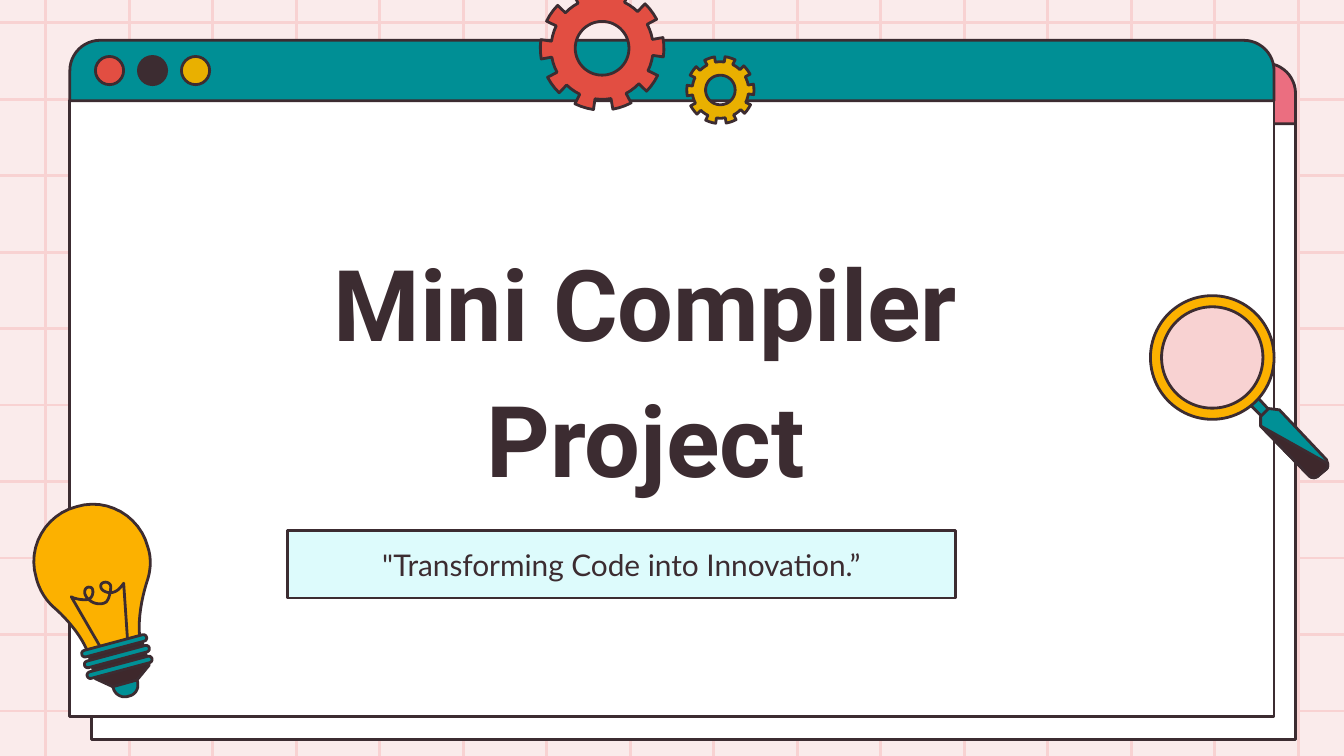
from dataclasses import dataclass
from math import cos, pi, radians, sin

from lxml import etree
from pptx import Presentation
from pptx.dml.color import RGBColor
from pptx.enum.shapes import MSO_CONNECTOR, MSO_SHAPE
from pptx.enum.text import MSO_ANCHOR, MSO_AUTO_SIZE, PP_ALIGN
from pptx.oxml.ns import qn
from pptx.util import Inches, Pt

RECTANGLE = MSO_SHAPE.RECTANGLE
OVAL = MSO_SHAPE.OVAL
DONUT = MSO_SHAPE.DONUT
ROUNDED = MSO_SHAPE.ROUNDED_RECTANGLE
ROUND_TOP = MSO_SHAPE.ROUND_2_SAME_RECTANGLE
STRAIGHT = MSO_CONNECTOR.STRAIGHT
MIDDLE = MSO_ANCHOR.MIDDLE
CENTER = PP_ALIGN.CENTER
NO_FIT = MSO_AUTO_SIZE.NONE

BLUSH = RGBColor(0xFA, 0xEB, 0xEB)
PINK = RGBColor(0xF8, 0xD2, 0xD2)
ROSE = RGBColor(0xEB, 0x6E, 0x80)
RED = RGBColor(0xE2, 0x4E, 0x42)
GOLD = RGBColor(0xE9, 0xB0, 0x00)
AMBER = RGBColor(0xFC, 0xB1, 0x00)
TEAL = RGBColor(0x00, 0x8F, 0x95)
TOOL_TEAL = RGBColor(0x00, 0x90, 0x96)
ICE = RGBColor(0xDD, 0xFB, 0xFC)
WHITE = RGBColor(0xFF, 0xFF, 0xFF)
INK = RGBColor(0x3C, 0x2C, 0x31)
BROWN = RGBColor(0x3E, 0x28, 0x2C)

WIDTH = 10
HEIGHT = WIDTH * 9 / 16
BULB_TILT = -15


@dataclass
class Window:
    left: float
    top: float
    bar_color: RGBColor


@dataclass
class Gear:
    x: float
    y: float
    tip: float
    root: float
    hole: float
    color: RGBColor


@dataclass
class Outline:
    path_points: list[tuple[float, ...]]
    color: RGBColor | None
    tilt: float = 0


WINDOWS = [Window(0.68, 0.47, ROSE), Window(0.52, 0.3, TEAL)]
GEARS = [
    Gear(4.48, 0.36, 0.46, 0.38, 0.2, RED),
    Gear(5.36, 0.67, 0.25, 0.21, 0.11, GOLD),
]
HANDLE = [
    Outline([(9.43, 3.14), (9.48, 3.09), (9.35, 2.95), (9.29, 3)], TOOL_TEAL),
    Outline([(9.88, 3.45), (9.88, 3.47, 9.88, 3.48, 9.87, 3.49), (9.81, 3.54),
             (9.79, 3.56, 9.76, 3.56, 9.74, 3.54), (9.38, 3.17), (9.38, 3.1),
             (9.44, 3.04), (9.52, 3.05), (9.87, 3.42)], TOOL_TEAL),
    Outline([(9.88, 3.45), (9.88, 3.47, 9.88, 3.48, 9.87, 3.49), (9.81, 3.54),
             (9.79, 3.56, 9.76, 3.56, 9.74, 3.54), (9.38, 3.17)], BROWN),
]
BULB = [
    Outline([(1.1, 4.07), (1.04, 3.84, 0.8, 3.7, 0.57, 3.77),
             (0.34, 3.83, 0.2, 4.07, 0.27, 4.3), (0.29, 4.38, 0.33, 4.45, 0.39, 4.51),
             (0.45, 4.56, 0.62, 4.72, 0.67, 4.9), (1.05, 4.8),
             (1, 4.59, 1.1, 4.31, 1.1, 4.31), (1.12, 4.24, 1.13, 4.16, 1.1, 4.07)],
            AMBER, BULB_TILT),
    Outline([(0.66, 4.86), (0.71, 5.05), (0.84, 5.11), (1.02, 5.06), (1.11, 4.95),
             (1.05, 4.75)], BROWN, BULB_TILT),
    Outline([(0.75, 4.82), (0.53, 4.44), (0.54, 4.45, 0.61, 4.47, 0.66, 4.46),
             (0.7, 4.44, 0.7, 4.37, 0.67, 4.37), (0.63, 4.36, 0.61, 4.42, 0.66, 4.46),
             (0.7, 4.5, 0.76, 4.5, 0.79, 4.48), (0.82, 4.45, 0.83, 4.36, 0.82, 4.35),
             (0.8, 4.32, 0.75, 4.33, 0.75, 4.36), (0.75, 4.4, 0.8, 4.41, 0.82, 4.41),
             (0.87, 4.41, 0.9, 4.37, 0.92, 4.34), (0.95, 4.77)], None, BULB_TILT),
]
BULB_TIP = Outline([(0.84, 5.11), (0.85, 5.17, 0.91, 5.2, 0.96, 5.18),
                    (1.01, 5.17, 1.04, 5.12, 1.02, 5.06)], TOOL_TEAL, BULB_TILT)


def style(shape, color: RGBColor | None) -> None:
    shape.shadow.inherit = False
    if color is None:
        shape.fill.background()
    else:
        shape.fill.solid()
        shape.fill.fore_color.rgb = color
    shape.line.color.rgb = INK
    shape.line.width = Pt(1.5)


def place(shape, left: float, top: float, width: float, height: float) -> None:
    shape.left, shape.top = Inches(left), Inches(top)
    shape.width, shape.height = Inches(width), Inches(height)


def add_preset(slide, kind, left: float, top: float, width: float, height: float,
               color: RGBColor):
    shape = slide.shapes.add_shape(kind, Inches(left), Inches(top), Inches(width),
                                   Inches(height))
    style(shape, color)
    return shape


def add_grid_line(slide, x1: float, y1: float, x2: float, y2: float) -> None:
    line = slide.shapes.add_connector(STRAIGHT, Inches(x1), Inches(y1), Inches(x2),
                                      Inches(y2))
    line.line.color.rgb = PINK
    line.line.width = Pt(1.5)
    etree.SubElement(line._element.spPr, qn("a:effectLst"))


def add_window(slide, window: Window) -> None:
    left, top = window.left, window.top
    add_preset(slide, RECTANGLE, left, top + 0.45, 8.96, 4.58, WHITE)
    bar = add_preset(slide, ROUND_TOP, left, top, 8.96, 0.45, window.bar_color)
    bar.adjustments[0] = 0.5
    for index, color in enumerate([RED, INK, GOLD]):
        add_preset(slide, OVAL, left + 0.19 + 0.32 * index, top + 0.12, 0.21, 0.21, color)


def add_contours(slide, contours: list[list[tuple[float, float]]], color: RGBColor | None):
    contours = [[(Inches(x), Inches(y)) for x, y in points] for points in contours]
    builder = slide.shapes.build_freeform(*contours[0][0], scale=1.0)
    for points in contours:
        builder.move_to(*points[0])
        builder.add_line_segments(points[1:], close=color is not None)
    shape = builder.convert_to_shape()
    style(shape, color)
    return shape


def flatten(path_points: list[tuple[float, ...]]) -> list[tuple[float, float]]:
    points = [path_points[0]]
    for step in path_points[1:]:
        if len(step) == 2:
            points.append(step)
            continue
        curve = [points[-1], step[:2], step[2:4], step[4:]]
        for index in range(1, 13):
            t = index / 12
            weights = [(1 - t) ** 3, 3 * t * (1 - t) ** 2, 3 * t * t * (1 - t), t ** 3]
            points.append(tuple(sum(weight * point[axis]
                                    for weight, point in zip(weights, curve))
                                for axis in (0, 1)))
    return points


def turn(x: float, y: float, degrees: float) -> tuple[float, float]:
    angle = radians(degrees)
    return x * cos(angle) - y * sin(angle), x * sin(angle) + y * cos(angle)


def add_outline(slide, outline: Outline) -> None:
    points = [turn(x, y, -outline.tilt) for x, y in flatten(outline.path_points)]
    shape = add_contours(slide, [points], outline.color)
    center_x, center_y = turn(shape.left + shape.width / 2, shape.top + shape.height / 2,
                              outline.tilt)
    shape.left = round(center_x - shape.width / 2)
    shape.top = round(center_y - shape.height / 2)
    shape.rotation = outline.tilt


def add_gear(slide, gear: Gear) -> None:
    def ring_point(radius: float, angle: float) -> tuple[float, float]:
        return gear.x + radius * cos(angle), gear.y + radius * sin(angle)

    rim = [ring_point(radius, radians(36 * tooth + offset))
           for tooth in range(10)
           for radius, start in ((gear.tip, 26), (gear.root, 44))
           for offset in range(start, start + 19, 6)]
    hole = [ring_point(gear.hole, -2 * pi * index / 60) for index in range(60)]
    add_contours(slide, [rim, hole], gear.color)


def fill_placeholder(slide, shape, text: str, font_name: str, size: int, bold: bool,
                     spacing: float) -> None:
    slide.shapes._spTree.append(shape._element)
    frame = shape.text_frame
    frame.text = text
    frame.word_wrap = True
    frame.auto_size = NO_FIT
    frame.vertical_anchor = MIDDLE
    frame.margin_left = frame.margin_right = Inches(0.1)
    frame.margin_top = frame.margin_bottom = Inches(0.1)
    paragraph = frame.paragraphs[0]
    paragraph.alignment = CENTER
    paragraph.line_spacing = spacing
    paragraph.space_before = Pt(0)
    paragraph.font.name = font_name
    paragraph.font.size = Pt(size)
    paragraph.font.bold = bold
    paragraph.font.color.rgb = INK


def main() -> None:
    presentation = Presentation()
    presentation.slide_width, presentation.slide_height = Inches(WIDTH), Inches(HEIGHT)
    slide = presentation.slides.add_slide(presentation.slide_layouts[0])
    slide.background.fill.solid()
    slide.background.fill.fore_color.rgb = BLUSH

    for index in range(16):
        x = 0.34 + 9.32 / 15 * index
        add_grid_line(slide, x, 0, x, HEIGHT)
    for index in range(10):
        y = 0.17 + 5.12 / 9 * index
        add_grid_line(slide, 0, y, WIDTH, y)
    for window in WINDOWS:
        add_window(slide, window)

    title, subtitle = slide.shapes.title, slide.placeholders[1]
    place(title, 1.79, 1.59, 6.03, 2.19)
    fill_placeholder(slide, title, "Mini Compiler\vProject", "Roboto", 53, True, 1.15)
    place(subtitle, 2.14, 3.95, 4.97, 0.5)
    style(subtitle, ICE)
    fill_placeholder(slide, subtitle, '"Transforming Code into Innovation.”', "Lato", 16,
                     False, 1.0)

    for outline in HANDLE:
        add_outline(slide, outline)
    add_preset(slide, OVAL, 8.61, 2.25, 0.82, 0.82, PINK)
    ring = add_preset(slide, DONUT, 8.56, 2.2, 0.92, 0.92, AMBER)
    ring.adjustments[0] = 0.09

    for outline in BULB:
        add_outline(slide, outline)
    for index in range(3):
        band = add_preset(slide, ROUNDED, 0.6 + 0.02 * index, 4.78 + 0.08 * index, 0.5, 0.05,
                          TOOL_TEAL)
        band.adjustments[0] = 0.5
        band.rotation = BULB_TILT
    add_outline(slide, BULB_TIP)

    for gear in GEARS:
        add_gear(slide, gear)
    presentation.save("out.pptx")


if __name__ == "__main__":
    main()
